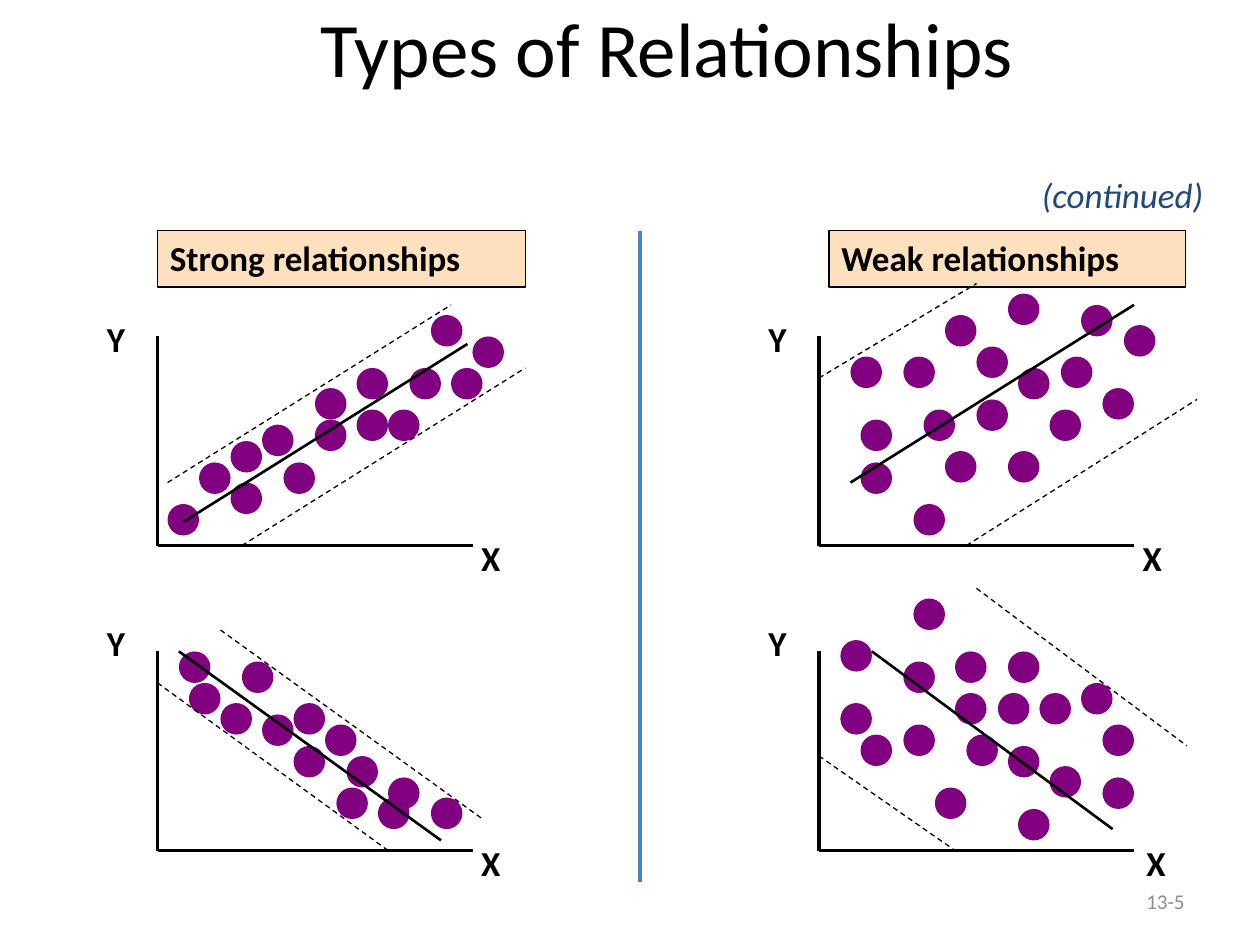
from pptx import Presentation
from pptx import util as u
from pptx.dml.color import RGBColor
from pptx.enum import dml, shapes, text
from pptx.oxml.ns import qn
from lxml import etree

BLACK = RGBColor(0x00, 0x00, 0x00)
GREY = RGBColor(0x8C, 0x8C, 0x8C)
PURPLE = RGBColor(0x80, 0x00, 0x80)
PEACH = RGBColor(0xFD, 0xE0, 0xBD)
BLUE = RGBColor(0x4F, 0x81, 0xBD)
NAVY = RGBColor(0x1F, 0x49, 0x7D)
LEFT, MID, RIGHT = text.PP_ALIGN.LEFT, text.PP_ALIGN.CENTER, text.PP_ALIGN.RIGHT


class Deck:
    font = "Calibri"
    dot_size = 0.25

    def __init__(self, slide):
        self.slide = slide

    def fill_text(self, shape, words, size=20, color=BLACK, bold=False,
                  italic=False, align=LEFT):
        shape.text_frame.text = words
        para = shape.text_frame.paragraphs[0]
        para.alignment = align
        font = para.runs[0].font
        font.name, font.size = self.font, u.Pt(size)
        font.bold, font.italic = bold, italic
        font.color.rgb = color

    def label(self, words, x, y, w, h=0.43, wrap=False, **style):
        box = self.slide.shapes.add_textbox(*map(u.Inches, (x, y, w, h)))
        frame = box.text_frame
        frame.word_wrap = wrap
        if wrap:
            frame.vertical_anchor = text.MSO_ANCHOR.MIDDLE
        else:
            frame.auto_size = text.MSO_AUTO_SIZE.SHAPE_TO_FIT_TEXT
        self.fill_text(box, words, **style)

    def shape(self, kind, x, y, w, h, fill):
        item = self.slide.shapes.add_shape(kind, *map(u.Inches, (x, y, w, h)))
        item.shadow.inherit = False
        item.fill.solid()
        item.fill.fore_color.rgb = fill
        item.line.fill.background()
        return item

    def header(self, words, x, w):
        box = self.shape(shapes.MSO_SHAPE.RECTANGLE, x, 1.83, w, 0.45, PEACH)
        box.line.color.rgb = BLACK
        box.line.width = u.Pt(1)
        frame = box.text_frame
        frame.word_wrap = True
        frame.vertical_anchor = text.MSO_ANCHOR.TOP
        frame.auto_size = text.MSO_AUTO_SIZE.SHAPE_TO_FIT_TEXT
        self.fill_text(box, words, bold=True)

    def line(self, x1, y1, x2, y2, width, color=BLACK, dash=False):
        item = self.slide.shapes.add_connector(
            shapes.MSO_CONNECTOR.STRAIGHT, *map(u.Inches, (x1, y1, x2, y2)))
        item.line.color.rgb = color
        item.line.width = u.Pt(width)
        if dash:
            item.line.dash_style = dml.MSO_LINE.DASH
        etree.SubElement(item._element.spPr, qn("a:effectLst"))

    def plot(self, x, top, base, y_top, dots, bands, trend, x_gap=2.47):
        # Axes and their letters
        self.line(x, top, x, base, 2)
        self.line(x, base, x + 2.5, base, 2)
        self.label("Y", x - 0.5, y_top, 0.39, bold=True)
        self.label("X", x + x_gap, base - 0.12, 0.39, bold=True)
        # Points, then the lines over them
        for left, up in dots:
            dot = self.shape(shapes.MSO_SHAPE.OVAL, left, up,
                             self.dot_size, self.dot_size, PURPLE)
            dot.rotation = 238.6
        for band in bands:
            self.line(*band, 0.75, dash=True)
        self.line(*trend, 1.5)


UPPER = dict(top=2.67, base=4.33, y_top=2.47)
LOWER = dict(top=5.17, base=6.75, y_top=4.88)

# Each plot: point corners, dashed bands, trend line
PLOTS = [
    dict(x=1.25, **UPPER,
         dots=[(1.33, 4), (1.58, 3.67), (1.83, 3.5), (1.83, 3.83),
               (2.08, 3.37), (2.25, 3.67), (2.5, 3.08), (2.5, 3.33),
               (2.83, 2.92), (2.83, 3.25), (3.08, 3.25), (3.25, 2.92),
               (3.42, 2.5), (3.58, 2.92), (3.75, 2.67)],
         bands=[(1.33, 3.83, 3.58, 2.42), (1.92, 4.33, 4.17, 2.92)],
         trend=(1.46, 4.14, 3.71, 2.73)),
    dict(x=1.25, **LOWER,
         dots=[(1.42, 5.17), (1.5, 5.42), (1.75, 5.58), (1.92, 5.25),
               (2.08, 5.67), (2.33, 5.58), (2.33, 5.92), (2.58, 5.75),
               (2.67, 6.25), (2.75, 6), (3, 6.33), (3.08, 6.17),
               (3.42, 6.33)],
         bands=[(1.75, 5, 3.83, 6.5), (1.25, 5.42, 3.08, 6.75)],
         trend=(1.42, 5.17, 3.5, 6.67)),
    dict(x=6.5, **UPPER,
         dots=[(6.75, 2.83), (6.83, 3.33), (6.83, 3.67), (7.17, 2.83),
               (7.25, 4), (7.33, 3.25), (7.5, 2.5), (7.5, 3.58),
               (7.75, 2.75), (7.75, 3.17), (8, 2.33), (8, 3.58),
               (8.08, 2.92), (8.33, 3.25), (8.42, 2.83), (8.58, 2.42),
               (8.75, 3.08), (8.92, 2.58)],
         bands=[(6.5, 3, 7.75, 2.25), (7.67, 4.33, 9.5, 3.17)],
         trend=(6.75, 3.83, 9, 2.42)),
    dict(x=6.5, **LOWER, x_gap=2.5,
         dots=[(6.67, 5.08), (6.67, 5.58), (6.83, 5.83), (7.17, 5.25),
               (7.17, 5.75), (7.25, 4.75), (7.42, 6.25), (7.58, 5.17),
               (7.58, 5.5), (7.67, 5.83), (7.92, 5.5), (8, 5.17),
               (8, 5.92), (8.08, 6.42), (8.25, 5.5), (8.33, 6.08),
               (8.58, 5.42), (8.75, 5.75), (8.75, 6.17)],
         bands=[(7.75, 4.67, 9.42, 5.92), (6.5, 6, 7.58, 6.75)],
         trend=(6.92, 5.17, 8.83, 6.58)),
]


def main():
    prs = Presentation()
    prs.slide_width, prs.slide_height = u.Inches(10), u.Inches(7.5)
    deck = Deck(prs.slides.add_slide(prs.slide_layouts[6]))

    # Title, page number and note
    deck.label("Types of Relationships", 1.26, -0.17, 8.07, 1.08,
               wrap=True, size=44, align=MID)
    deck.label("13-5", 7.17, 6.95, 2.33, 0.4,
               wrap=True, size=12, color=GREY, align=RIGHT)
    deck.label("(continued)", 8.17, 1.33, 1.61, color=NAVY, italic=True)

    # Column headers and divider
    deck.header("Strong relationships", 1.25, 2.92)
    deck.header("Weak relationships", 6.58, 2.83)
    deck.line(5.08, 1.83, 5.08, 7, 2.25, BLUE)

    # Scatter plots
    for plot in PLOTS:
        deck.plot(**plot)

    prs.save("out.pptx")


if __name__ == "__main__":
    main()
